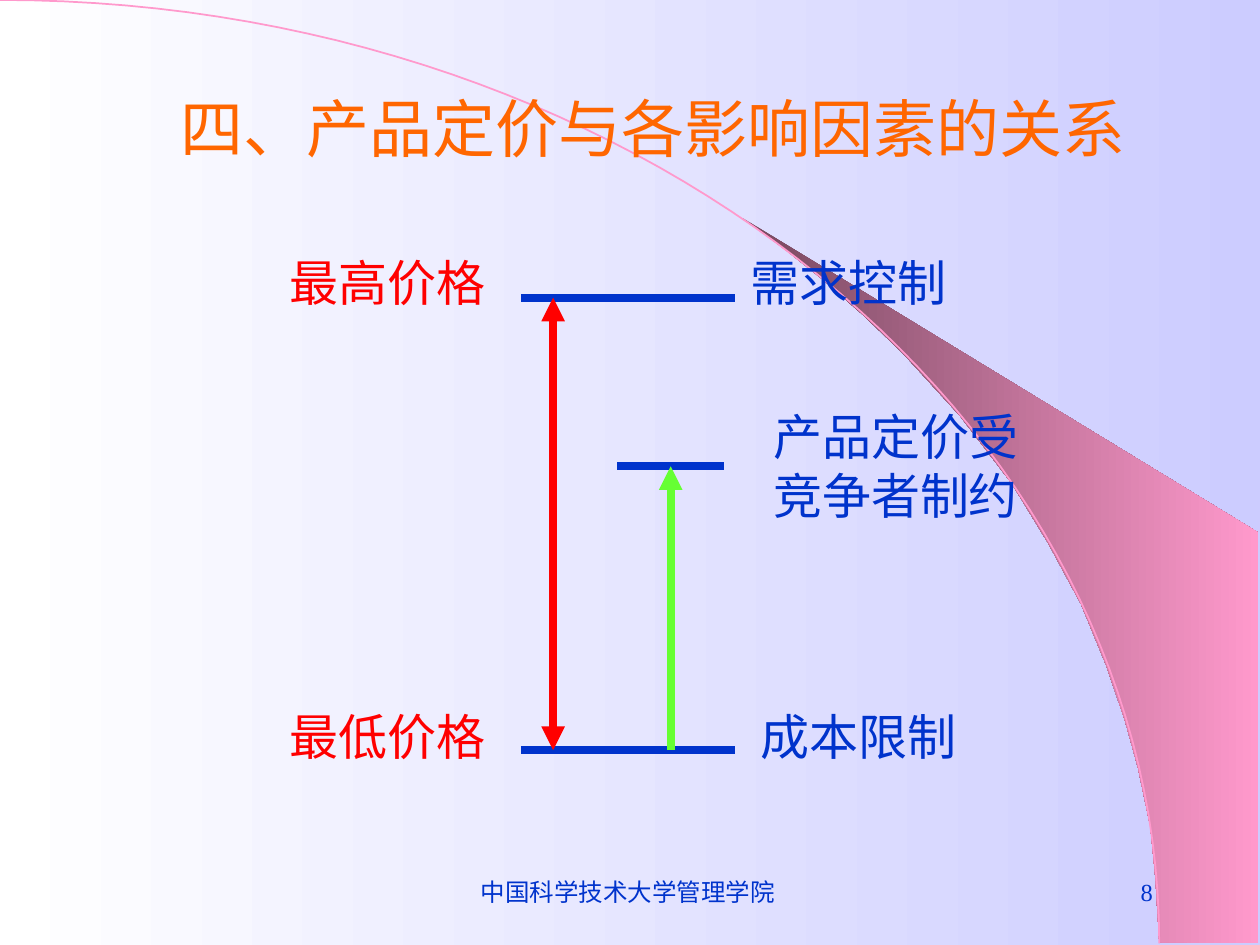
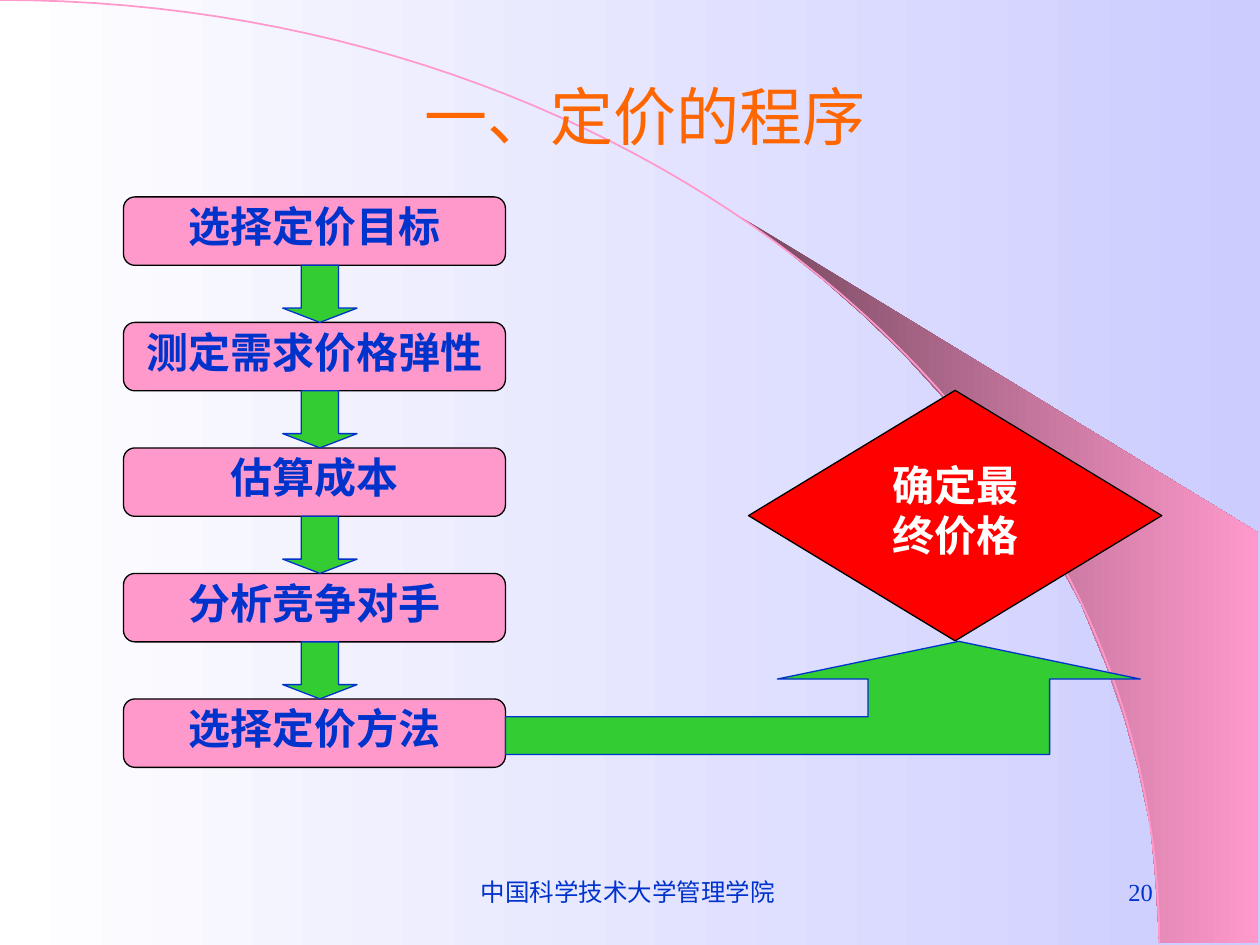
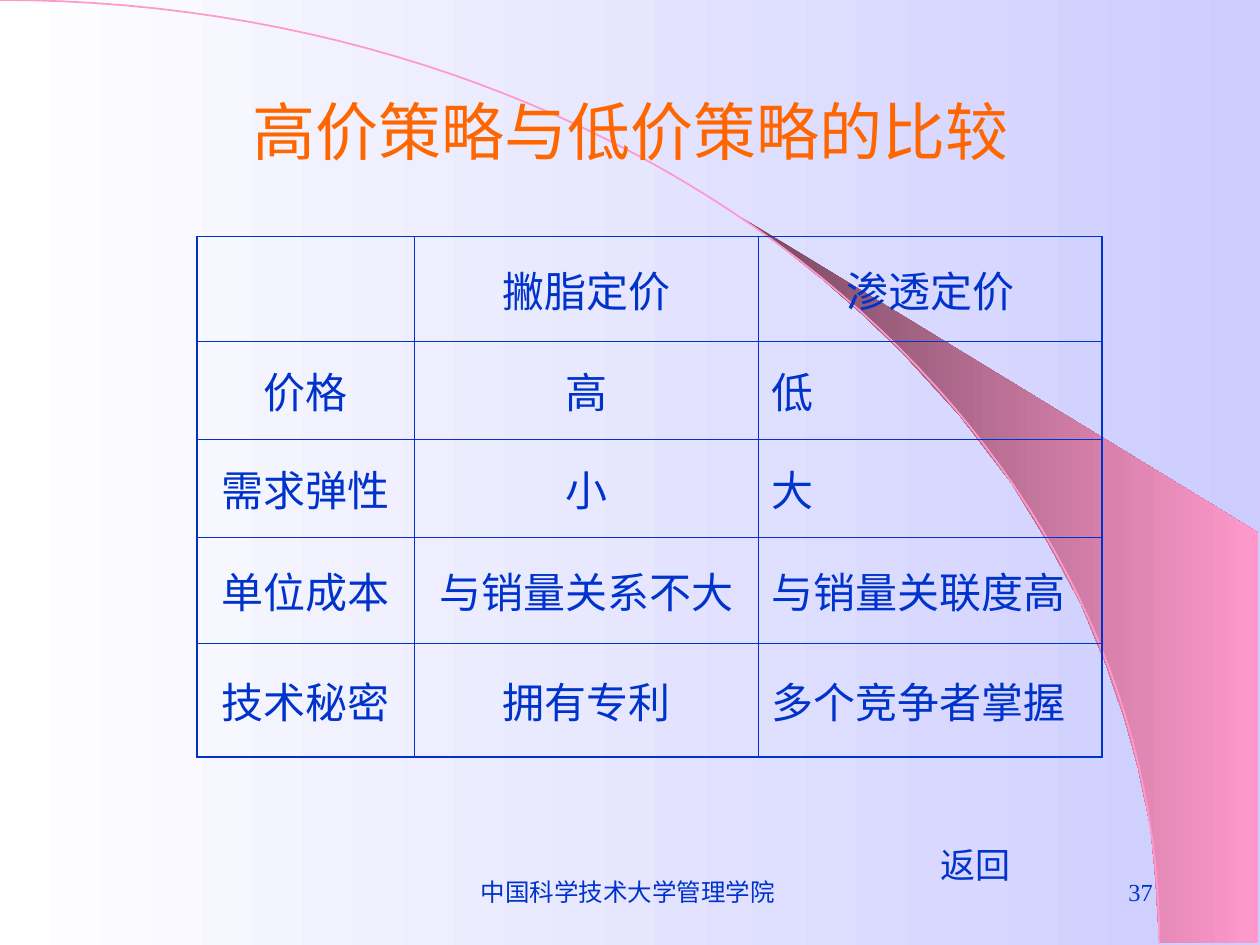
from lxml.etree import SubElement
from pptx import Presentation
from pptx.dml.color import RGBColor
from pptx.enum.shapes import MSO_CONNECTOR, MSO_SHAPE
from pptx.enum.text import MSO_ANCHOR, PP_ALIGN
from pptx.oxml.ns import qn
from pptx.util import Cm, Pt

# Shared look
BLUE = RGBColor(0x00, 0x33, 0xCC)
ORANGE = RGBColor(0xFF, 0x66, 0x00)
RED = RGBColor(0xFF, 0x00, 0x00)
LIME = RGBColor(0x66, 0xFF, 0x33)
GREEN = RGBColor(0x33, 0xCC, 0x33)
PINK = RGBColor(0xFF, 0x99, 0xCC)
PLUM = RGBColor(0x76, 0x47, 0x5E)
LAVENDER = RGBColor(0xCC, 0xCC, 0xFF)
WHITE = RGBColor(0xFF, 0xFF, 0xFF)
BLACK = RGBColor(0x00, 0x00, 0x00)

SERIF = "Times New Roman"
SANS_JP = "Noto Sans CJK JP"
SANS_SC = "Noto Sans CJK SC"
FOOTER = "中国科学技术大学管理学院 "
TITLE_ONLY = 5

WEDGE = [
    (23.37, 19), (25.37, 19.02), (25.37, 10.74), (14.96, 4.39), (15.85, 5.05),
    (16.59, 5.64), (17.4, 6.35), (18.19, 7.11), (19.35, 8.38), (20.4, 9.75),
    (21.13, 10.95), (21.79, 12.17), (22.3, 13.41), (22.68, 14.53),
    (22.94, 15.47), (23.19, 16.66), (23.29, 17.68),
]
ARC_CONTROLS = [(0, 0), (12.9, 0), (23.37, 8.51), (23.37, 19.02)]
ARC_STEPS = 60


def lengths(*values):
    return [Cm(value) for value in values]


def style_text(text_frame, size, font, color, bold=False,
               align=PP_ALIGN.CENTER, anchor=MSO_ANCHOR.TOP):
    text_frame.vertical_anchor = anchor
    for paragraph in text_frame.paragraphs:
        paragraph.alignment = align
        for run in paragraph.runs:
            run.font.size = Pt(size)
            run.font.name = font
            run.font.bold = bold
            run.font.color.rgb = color


def set_gradient(fill, start, end):
    fill.gradient()
    fill.gradient_angle = 0
    for stop, color in zip(fill.gradient_stops, (start, end)):
        stop.color.rgb = color


def style_shape(shape, fill, line, width=0.75):
    shape.shadow.inherit = False
    shape.fill.solid()
    shape.fill.fore_color.rgb = fill
    shape.line.color.rgb = line
    shape.line.width = Pt(width)


def add_outline(slide, points, close=True):
    start, *rest = [lengths(*point) for point in points]
    builder = slide.shapes.build_freeform(*start)
    builder.add_line_segments(rest, close=close)
    shape = builder.convert_to_shape()
    shape.shadow.inherit = False
    return shape


def add_text(slide, text, box, size, font, color, **style):
    text_frame = slide.shapes.add_textbox(*lengths(*box)).text_frame
    text_frame.word_wrap = True
    text_frame.text = text
    style_text(text_frame, size, font, color, **style)


def add_line(slide, start, end, color, head=False, tail=False):
    connector = slide.shapes.add_connector(
        MSO_CONNECTOR.STRAIGHT, *lengths(*start, *end))
    connector.line.color.rgb = color
    connector.line.width = Pt(4.5)
    properties = connector.element.spPr
    SubElement(properties, qn("a:effectLst"))
    line = properties.find(qn("a:ln"))
    for name, wanted in (("a:headEnd", head), ("a:tailEnd", tail)):
        if wanted:
            SubElement(line, qn(name), type="triangle")


def arc_points():
    for step in range(ARC_STEPS + 1):
        t = step / ARC_STEPS
        weights = ((1 - t) ** 3, 3 * t * (1 - t) ** 2,
                   3 * t ** 2 * (1 - t), t ** 3)
        yield tuple(sum(weight * point[axis]
                        for weight, point in zip(weights, ARC_CONTROLS))
                    for axis in (0, 1))


def decorate_master(presentation, slide):
    """Draw the wedge and arc once and hand them to the slide master."""
    master = presentation.slide_master
    set_gradient(master.background.fill, WHITE, LAVENDER)
    wedge = add_outline(slide, WEDGE)
    set_gradient(wedge.fill, PLUM, PINK)
    wedge.line.fill.background()
    arc = add_outline(slide, arc_points(), close=False)
    arc.fill.background()
    arc.line.color.rgb = PINK
    arc.line.width = Pt(1)
    for shape_id, shape in enumerate((wedge, arc), 101):
        shape.element.nvSpPr.cNvPr.set("id", str(shape_id))
        master.shapes.element.append(shape.element)


def add_page(presentation, title, title_box, number):
    slide = presentation.slides.add_slide(
        presentation.slide_layouts[TITLE_ONLY])
    heading = slide.shapes.title
    heading.left, heading.top, heading.width, heading.height = lengths(*title_box)
    heading.text_frame.text = title
    style_text(heading.text_frame, 36, "Arial", ORANGE,
               anchor=MSO_ANCHOR.MIDDLE)
    add_text(slide, FOOTER, (8.69, 17.35, 8.05, 1.27), 14, SERIF, BLUE,
             anchor=MSO_ANCHOR.MIDDLE)
    add_text(slide, str(number), (18.21, 17.35, 5.28, 1.27), 14, SERIF, BLUE,
             align=PP_ALIGN.RIGHT, anchor=MSO_ANCHOR.MIDDLE)
    return slide


# Price range between cost and demand
def draw_price_range(slide):
    top, middle, bottom = 6, 9.4, 15.12
    for text, left, label_top, color in (
        ("最高价格", 5.44, 4.96, RED),
        ("需求控制", 14.73, 4.96, BLUE),
        ("最低价格", 5.44, 14.11, RED),
        ("成本限制", 14.93, 14.11, BLUE),
    ):
        add_text(slide, text, (left, label_top, 4.75, 1.45), 28, SANS_JP, color)
    for level in (top, bottom):
        add_line(slide, (10.5, level), (14.81, level), BLUE)
    add_line(slide, (11.15, top), (11.15, bottom), RED, head=True, tail=True)
    add_line(slide, (12.44, middle), (14.6, middle), BLUE)
    add_line(slide, (13.52, bottom), (13.52, middle), LIME, tail=True)
    add_text(slide, "产品定价受竞争者制约", (15.3, 8.08, 5.51, 2.64),
             28, SANS_JP, BLUE)


# Pricing steps
def add_block(slide, kind, box, fill, line, text="", font=SERIF,
              color=BLUE, spacing=1.0):
    shape = slide.shapes.add_shape(kind, *lengths(*box))
    style_shape(shape, fill, line)
    if text:
        shape.text_frame.text = text
        style_text(shape.text_frame, 24, font, color, bold=True)
        for paragraph in shape.text_frame.paragraphs:
            paragraph.line_spacing = spacing
    return shape


def draw_pricing_steps(slide):
    steps = ["选择定价目标", "测定需求价格弹性", "估算成本",
             "分析竞争对手", "选择定价方法"]
    first_top, pitch, height = 3.97, 2.53, 1.38
    tops = [first_top + index * pitch for index in range(len(steps))]
    for step, top in zip(steps, tops):
        add_block(slide, MSO_SHAPE.FLOWCHART_ALTERNATE_PROCESS,
                  (2.49, top, 7.7, height), PINK, BLACK, step, spacing=0.9)
    add_block(slide, MSO_SHAPE.FLOWCHART_DECISION, (15.09, 7.87, 8.33, 5.05),
              RED, BLACK, "确定最\n终价格", SANS_SC, WHITE)
    for top in tops[:-1]:
        arrow = add_block(slide, MSO_SHAPE.DOWN_ARROW,
                          (5.7, top + height, 1.5, pitch - height), GREEN, BLUE)
        arrow.adjustments[1] = 0.25
    bent_arrow = add_outline(slide, [
        (19.33, 12.93), (15.67, 13.69), (17.5, 13.69), (17.5, 14.45),
        (10.19, 14.45), (10.19, 15.21), (21.16, 15.21), (21.16, 13.69),
        (22.99, 13.69),
    ])
    style_shape(bent_arrow, GREEN, BLUE)


# Comparison table
def set_border(cell, side, width):
    line = SubElement(cell._tc.get_or_add_tcPr(), qn(f"a:ln{side}"),
                      w=str(Pt(width)))
    fill = SubElement(line, qn("a:solidFill"))
    SubElement(fill, qn("a:srgbClr"), val=str(BLUE))


def draw_comparison(slide):
    rows = [
        ("", "撇脂定价", "渗透定价"),
        ("价格", "高", "低"),
        ("需求弹性", "小", "大"),
        ("单位成本", "与销量关系不大", "与销量关联度高"),
        ("技术秘密", "拥有专利", "多个竞争者掌握"),
    ]
    widths = (4.39, 6.93, 6.93)
    heights = (2.11, 1.98, 1.98, 2.13, 2.29)
    last_row, last_column = len(rows) - 1, len(widths) - 1
    table = slide.shapes.add_table(
        len(rows), len(widths),
        *lengths(3.97, 4.77, sum(widths), sum(heights))).table
    table.first_row = table.horz_banding = False
    for column, width in zip(table.columns, widths):
        column.width = Cm(width)
    for row, height in zip(table.rows, heights):
        row.height = Cm(height)
    for row, texts in enumerate(rows):
        for column, text in enumerate(texts):
            cell = table.cell(row, column)
            cell.text_frame.text = text
            left_aligned = row > 0 and column == last_column
            style_text(cell.text_frame, 24, "Comic Neue", BLUE,
                       align=PP_ALIGN.LEFT if left_aligned else PP_ALIGN.CENTER)
            cell.vertical_anchor = MSO_ANCHOR.MIDDLE
            for side, outer in (("L", column == 0), ("R", column == last_column),
                                ("T", row == 0), ("B", row == last_row)):
                set_border(cell, side, 1.08 if outer else 0.45)
            cell.fill.background()
    add_text(slide, "返回", (18.42, 16.87, 2.5, 1.12), 20, SANS_SC, BLUE)


def main():
    presentation = Presentation()
    presentation.slide_width, presentation.slide_height = lengths(25.4, 19.05)

    price_range = add_page(presentation, "四、产品定价与各影响因素的关系",
                           (2.77, 1.19, 20.78, 2.77), 8)
    decorate_master(presentation, price_range)
    draw_price_range(price_range)

    draw_pricing_steps(add_page(presentation, "一、定价的程序",
                                (3.58, 0.79, 18.85, 3.05), 20))
    draw_comparison(add_page(presentation, "高价策略与低价策略的比较",
                             (1.91, 1.69, 21.59, 1.88), 37))
    presentation.save("out.pptx")


if __name__ == "__main__":
    main()
